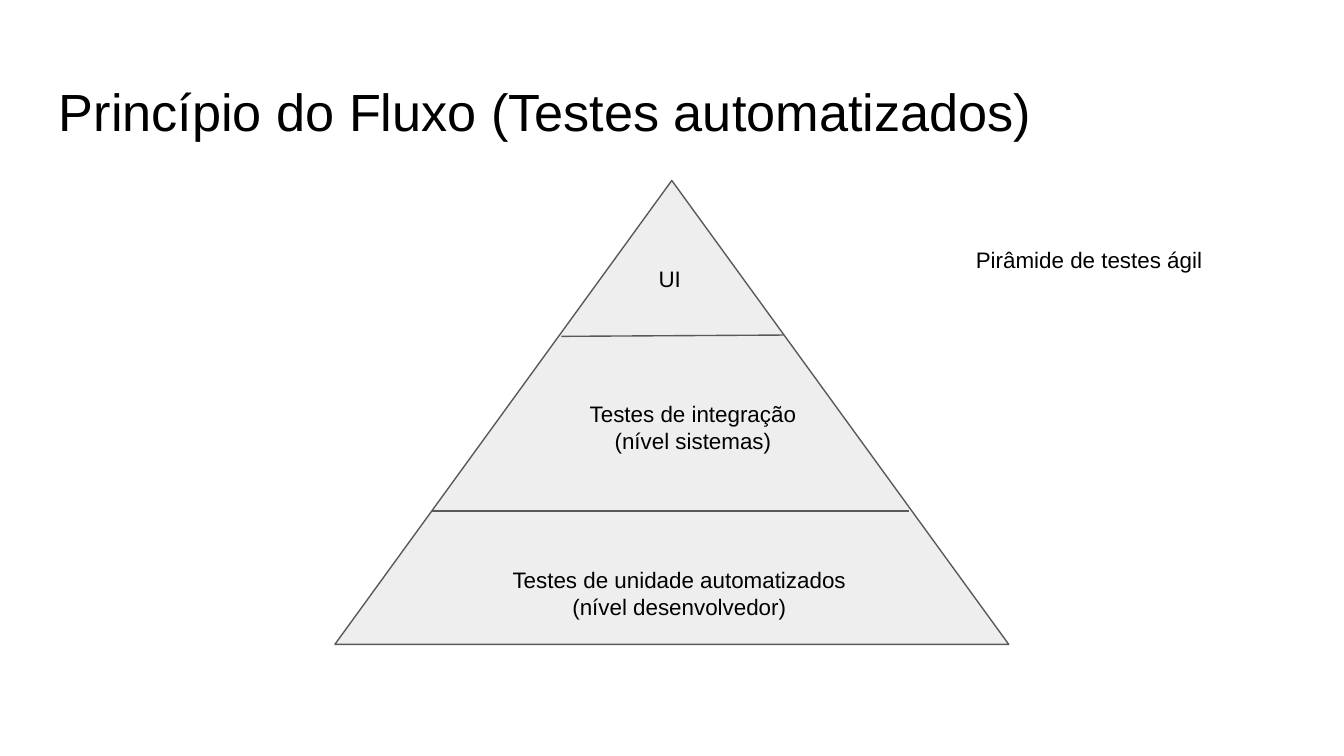
from lxml.etree import SubElement
from pptx import Presentation
from pptx.dml.color import RGBColor
from pptx.enum.shapes import MSO_CONNECTOR, MSO_SHAPE
from pptx.enum.text import MSO_ANCHOR, PP_ALIGN
from pptx.oxml.ns import qn
from pptx.util import Pt

BLACK, GRAY, LIGHT = "000000", "595959", "EEEEEE"
LABEL_WIDTH, LABEL_HEIGHT = 309.6, 36


def color(value):
    return RGBColor.from_string(value)


def add_text(page, text, left, top, width, height, *, size=12,
             font="Arial", fill=BLACK, align=PP_ALIGN.CENTER):
    box = page.shapes.add_textbox(Pt(left), Pt(top), Pt(width), Pt(height))
    frame = box.text_frame
    frame.word_wrap = True
    frame.vertical_anchor = MSO_ANCHOR.TOP
    frame.margin_left = frame.margin_right = Pt(7.2)
    frame.margin_top = frame.margin_bottom = Pt(7.2)
    frame.text = text
    for para in frame.paragraphs:
        para.alignment = align
        for span in para.runs:
            span.font.name = font
            span.font.size = Pt(size)
            span.font.color.rgb = color(fill)


def outline(shape):
    shape.line.color.rgb = color(GRAY)
    shape.line.width = Pt(0.75)


def add_pyramid(page, left, top, width, height):
    pyramid = page.shapes.add_shape(
        MSO_SHAPE.ISOSCELES_TRIANGLE, Pt(left), Pt(top), Pt(width), Pt(height))
    pyramid.shadow.inherit = False
    pyramid.fill.solid()
    pyramid.fill.fore_color.rgb = color(LIGHT)
    outline(pyramid)


def add_divider(page, x1, y1, x2, y2):
    divider = page.shapes.add_connector(
        MSO_CONNECTOR.STRAIGHT, Pt(x1), Pt(y1), Pt(x2), Pt(y2))
    outline(divider)
    SubElement(divider._element.spPr, qn("a:effectLst"))


def main():
    deck = Presentation()
    deck.slide_width, deck.slide_height = Pt(720), Pt(405)
    page = deck.slides.add_slide(deck.slide_layouts[6])

    # Title
    add_text(page, "Princípio do Fluxo (Testes automatizados)",
             24.5, 35.3, 671, 45.4, size=28, align=PP_ALIGN.LEFT)

    # Pyramid and its level dividers
    add_pyramid(page, 179.4, 96.7, 361, 248.5)
    add_divider(page, 231.4, 273.8, 487, 273.8)
    add_divider(page, 300.7, 180.2, 419.8, 179.5)

    # Level labels
    for text, left, top in (
        ("Testes de unidade automatizados\n(nível desenvolvedor)", 209.2, 296),
        ("Testes de integração\n(nível sistemas)", 216.5, 207.4),
        ("UI", 204, 134.8),
    ):
        add_text(page, text, left, top, LABEL_WIDTH, LABEL_HEIGHT)

    # Caption
    add_text(page, "Pirâmide de testes ágil", 509, 124.6, 149, 23)

    deck.save("out.pptx")


if __name__ == "__main__":
    main()
